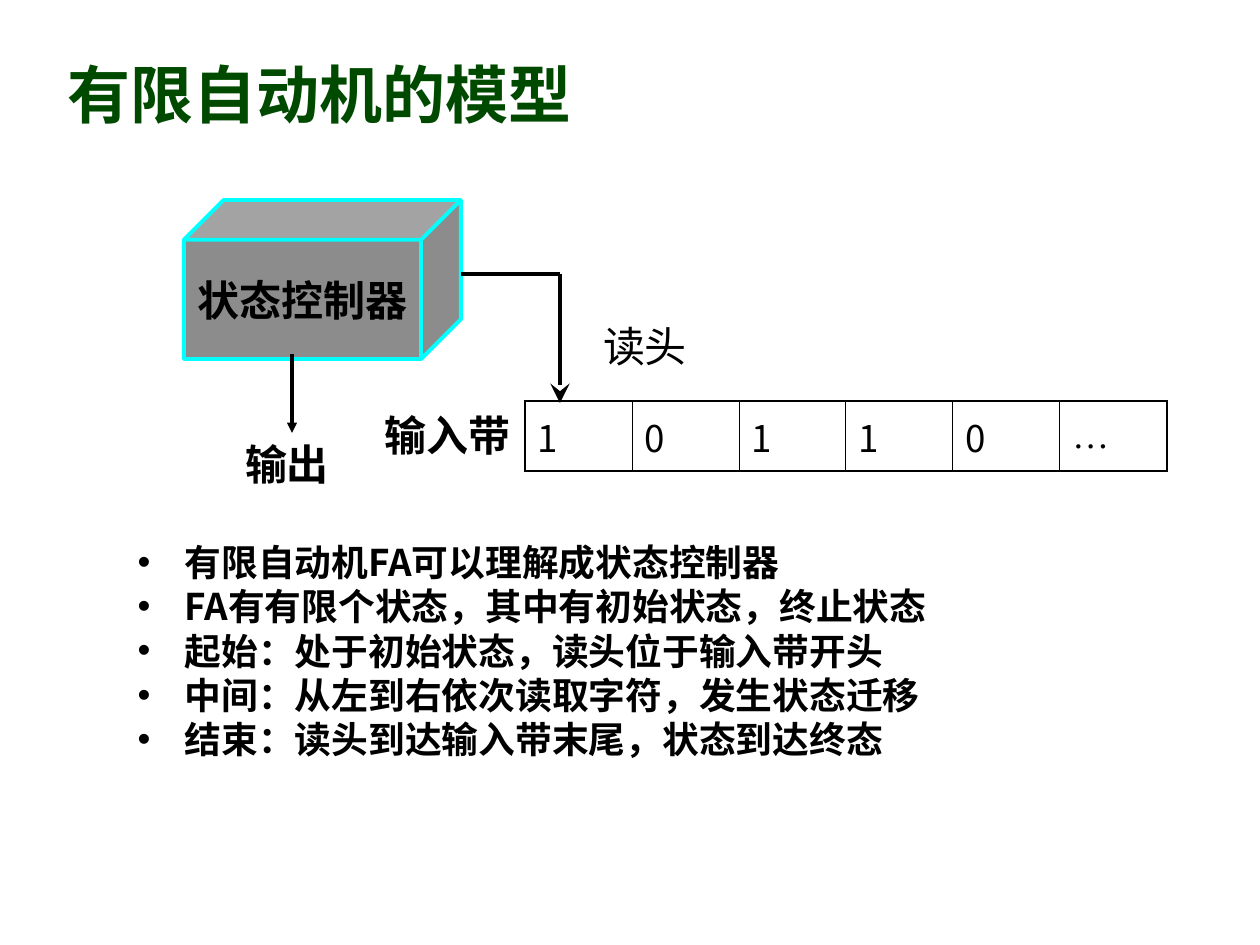
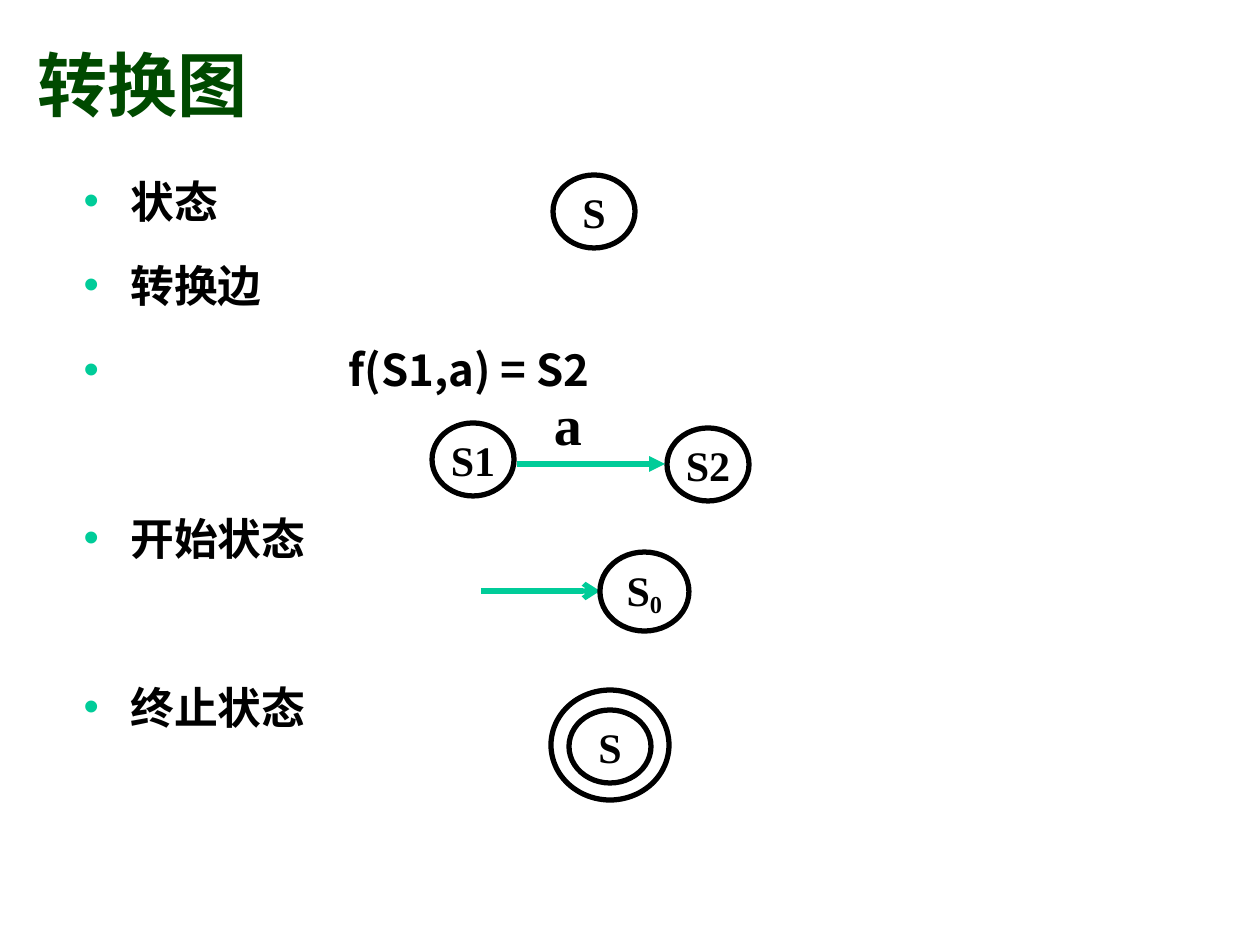
import pptx
import pptx.util
import pptx.dml.color
import pptx.enum.shapes
import pptx.enum.text
import pptx.oxml
import pptx.oxml.ns

BLACK, GREEN, TEAL, CYAN = "000000", "004A00", "00CC99", "00FFFF"
SANS, HAN, SERIF = "Noto Sans CJK KR", "Noto Sans CJK SC", "Times New Roman"
NODE = (82, 73)
KIND = pptx.enum.shapes.MSO_SHAPE
ALIGN = pptx.enum.text.PP_ALIGN
MID = pptx.enum.text.MSO_ANCHOR.MIDDLE


def px(num):
    """Turn px into EMU."""
    return pptx.util.Emu(round(num * 914400 / 126))


def rgb(code):
    """Turn a hex string into a colour."""
    return pptx.dml.color.RGBColor.from_string(code)


def add(node, tag, **attrs):
    """Append a drawing element with attributes to an XML node."""
    child = node.makeelement(pptx.oxml.ns.qn(tag), attrs)
    node.append(child)
    return child


def style(par, size, face, bold=True, color=BLACK):
    """Set the font of a whole paragraph."""
    font = par.font
    font.size, font.bold, font.name = pptx.util.Pt(size), bold, face
    font.color.rgb = rgb(color)
    east = HAN if face == SERIF else face
    add(par._p.pPr.find(pptx.oxml.ns.qn("a:defRPr")), "a:ea", typeface=east)


def place(shape, box):
    """Move a shape to a box given in px."""
    shape.left, shape.top, shape.width, shape.height = map(px, box)


def title(slide, text, box, size, face):
    """Fill and place the title."""
    head = slide.shapes.title
    place(head, box)
    frame = head.text_frame
    frame.text = text
    frame.auto_size = pptx.enum.text.MSO_AUTO_SIZE.NONE
    frame.vertical_anchor = MID
    par = frame.paragraphs[0]
    par.alignment = ALIGN.LEFT
    style(par, size, face, color=GREEN)


def bullets(slide, rows, box, size, dot, lead, gap):
    """Fill the body with rows of text, left margin and extra space before."""
    body = slide.placeholders[1]
    place(body, box)
    frame = body.text_frame
    frame.auto_size = pptx.enum.text.MSO_AUTO_SIZE.NONE
    for num, (text, left, extra) in enumerate(rows):
        par = frame.paragraphs[0] if num == 0 else frame.add_paragraph()
        par.text = text
        par.line_spacing = lead
        par.space_before = pptx.util.Pt(gap + extra if num else 0)
        props = par._p.get_or_add_pPr()
        props.set("marL", str(px(left)))
        props.set("indent", str(px(-left)))
        add(add(props, "a:buClr"), "a:srgbClr", val=dot)
        add(props, "a:buChar", char="•")
        style(par, size, SANS)


def label(shapes, text, box, size=24, bold=True):
    """Add a centred text label."""
    item = shapes.add_textbox(*map(px, box))
    frame = item.text_frame
    frame.word_wrap = False
    frame.vertical_anchor = MID
    par = frame.paragraphs[0]
    par.text = text
    par.alignment = ALIGN.CENTER
    style(par, size, SERIF, bold)


def line(shapes, start, end, width, color=BLACK, tip=None, scale="med"):
    """Draw a straight line, with an arrowhead if a tip is named."""
    item = shapes.add_connector(
        pptx.enum.shapes.MSO_CONNECTOR.STRAIGHT, *map(px, start + end))
    item.line.width = pptx.util.Pt(width)
    item.line.color.rgb = rgb(color)
    if tip:
        add(item.line._get_or_add_ln(), "a:tailEnd", type=tip, w=scale, len=scale)
    add(item._element.spPr, "a:effectLst")


def control(slide, x, y):
    """Draw the state control cube with its output."""
    group = slide.shapes.add_group_shape().shapes
    label(group, "状态控制器", (x, y + 68, 238, 63))
    cube = group.add_shape(KIND.CUBE, *map(px, (x, y, 277, 159)))
    cube.shadow.inherit = False
    cube.fill.solid()
    cube.fill.fore_color.rgb = rgb(BLACK)
    tint = cube._element.spPr.find(".//" + pptx.oxml.ns.qn("a:srgbClr"))
    add(tint, "a:alpha", val="45000")
    cube.line.color.rgb = rgb(CYAN)
    cube.line.width = pptx.util.Pt(2.25)
    line(slide.shapes, (x + 108, y + 154), (x + 108, y + 233), 1.87, tip="triangle")
    label(slide.shapes, "输出", (x + 43, y + 232, 120, 63))


def reader(slide, x, y):
    """Draw the read head, bent from the cube to the tape."""
    group = slide.shapes.add_group_shape().shapes
    label(group, "读头", (x + 124, y + 40, 120, 63), bold=False)
    bend = (x + 99, y)
    line(group, (x, y), bend, 2.25)
    line(group, bend, (x + 99, y + 129), 2.25, tip="stealth", scale="lg")


def tape(slide, x, y, signs):
    """Draw the input tape as a table of one row."""
    label(slide.shapes, "输入带", (x - 153, y + 2, 151, 63))
    wide, tall, last = 107, 70, len(signs) - 1
    grid = slide.shapes.add_table(
        1, len(signs), *map(px, (x, y, wide * len(signs), tall))).table
    grid.first_row = grid.horz_banding = False
    grid.rows[0].height = px(tall)
    for num, sign in enumerate(signs):
        grid.columns[num].width = px(wide)
        cell = grid.cell(0, num)
        cell.text = sign
        cell.vertical_anchor = MID
        style(cell.text_frame.paragraphs[0], 21, SERIF if sign == "…" else SANS, False)
        props = cell._tc.get_or_add_tcPr()
        for side, edge in (("L", num == 0), ("R", num == last), ("T", True), ("B", True)):
            width = pptx.util.Pt(1.08 if edge else 0.45)
            rim = add(props, "a:ln" + side, w=str(width))
            add(add(rim, "a:solidFill"), "a:srgbClr", val=BLACK)
        cell.fill.background()


def state(slide, x, y, text="", sub="", size=NODE):
    """Draw a state as an ellipse, with an optional subscript."""
    item = slide.shapes.add_shape(KIND.OVAL, *map(px, (x, y) + size))
    item.shadow.inherit = False
    item.fill.background()
    item.line.color.rgb = rgb(BLACK)
    item.line.width = pptx.util.Pt(3)
    if not text:
        return
    frame = item.text_frame
    frame.word_wrap = False
    frame.vertical_anchor = MID
    par = frame.paragraphs[0]
    par.text = text
    par.alignment = ALIGN.CENTER
    style(par, 24, SERIF)
    if sub:
        run = par.add_run()
        run.text = sub
        run._r.get_or_add_rPr().set("baseline", "-18000")


def edge(slide, x, y):
    """Draw the move from S1 to S2 on sign a."""
    state(slide, x, y, "S1")
    state(slide, x + 235, y + 5, "S2")
    line(slide.shapes, (x + 85, y + 41), (x + 233, y + 41), 3, TEAL, "triangle")
    label(slide.shapes, "a", (x + 86, y - 40, 100, 80), 32)


def start(slide, x, y):
    """Draw the start state with its incoming arrow."""
    line(slide.shapes, (x, y + 39), (x + 119, y + 39), 3, TEAL, "arrow")
    state(slide, x + 119, y, "S", "0", (89, 79))


def final(slide, x, y):
    """Draw the final state as a double ring."""
    state(slide, x + 18, y + 20, "S")
    state(slide, x, y, size=(118, 110))


def model(slide):
    """Build the slide on the model of the automaton."""
    title(slide, "有限自动机的模型", (55, 26, 814, 135), 36, HAN)
    rows = ["有限自动机FA可以理解成状态控制器",
            "FA有有限个状态，其中有初始状态，终止状态",
            "起始：处于初始状态，读头位于输入带开头",
            "中间：从左到右依次读取字符，发生状态迁移",
            "结束：读头到达输入带末尾，状态到达终态"]
    bullets(slide, [(row, 47, 0) for row in rows],
            (125, 542, 1071, 268), 21, BLACK, 0.8, 5.2)
    tape(slide, 525, 401, "10110…")
    control(slide, 184, 200)
    reader(slide, 461, 274)


def graph(slide):
    """Build the slide on the transition graph."""
    title(slide, "转换图", (25, 21, 1070, 126), 40, SANS)
    skip = 48.2
    rows = [("状态", 47, 0), ("转换边", 47, 0), ("f(S1,a) = S2", 265, 0),
            ("开始状态", 47, skip), ("终止状态", 47, skip)]
    bullets(slide, rows, (71, 147, 1071, 651), 25, TEAL, 1.4, 6.2)
    state(slide, 553, 175, "S")
    edge(slide, 432, 423)
    start(slide, 481, 552)
    final(slide, 551, 690)


def main():
    """Build and save the deck."""
    deck = pptx.Presentation()
    deck.slide_width, deck.slide_height = px(1260), px(945)
    for build in (model, graph):
        build(deck.slides.add_slide(deck.slide_layouts[1]))
    deck.save("out.pptx")


if __name__ == "__main__":
    main()
